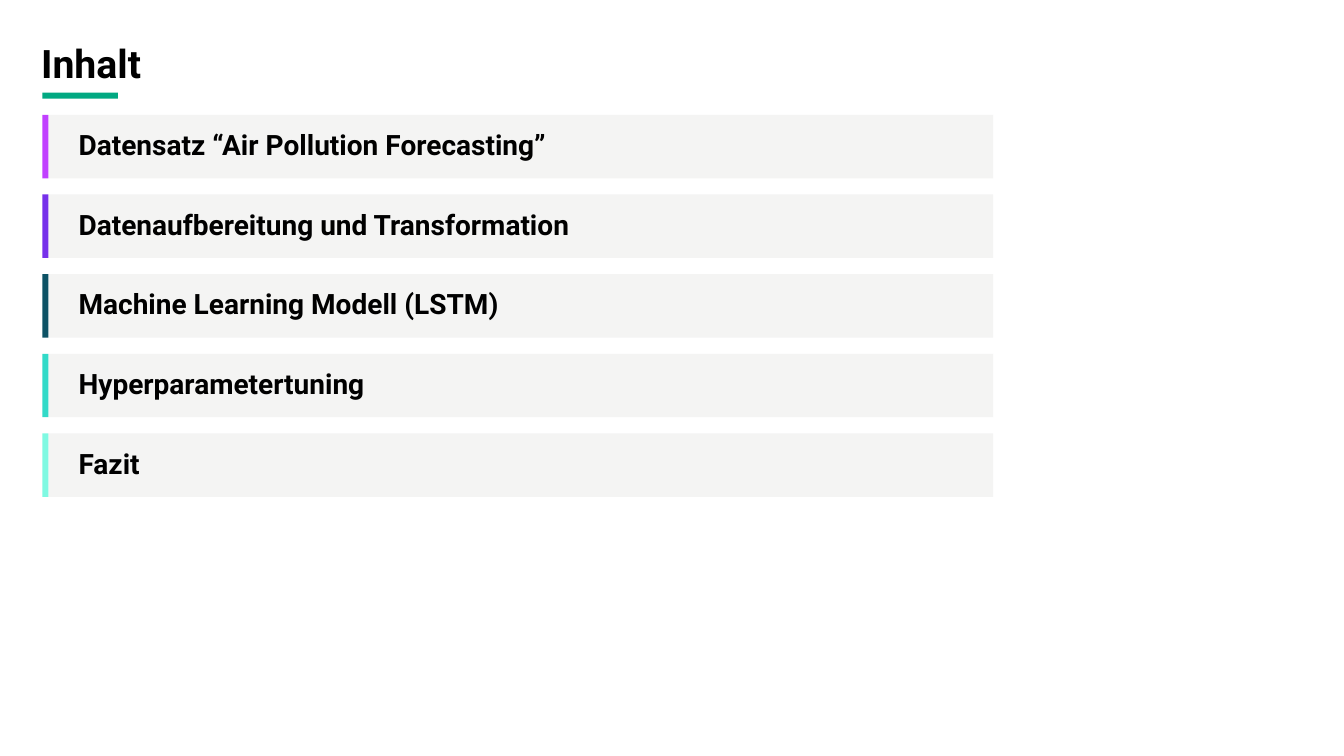
from pptx import Presentation
from pptx.dml.color import RGBColor
from pptx.enum.shapes import MSO_SHAPE as Preset
from pptx.enum.text import MSO_ANCHOR as Anchor, PP_ALIGN as Align
from pptx.util import Inches, Pt

BLACK = RGBColor(0x00, 0x00, 0x00)
GREEN = RGBColor(0x01, 0xA9, 0x82)
LIGHT_GREY = RGBColor(0xF4, 0xF4, 0xF3)
MAGENTA = RGBColor(0xC1, 0x40, 0xFF)
VIOLET = RGBColor(0x76, 0x30, 0xEA)
PETROL = RGBColor(0x0D, 0x52, 0x65)
TURQUOISE = RGBColor(0x32, 0xDA, 0xC8)
MINT = RGBColor(0x7F, 0xF9, 0xE2)

TOPICS = [
    ("Datensatz “Air Pollution Forecasting”", MAGENTA),
    ("Datenaufbereitung und Transformation", VIOLET),
    ("Machine Learning Modell (LSTM)", PETROL),
    ("Hyperparametertuning", TURQUOISE),
    ("Fazit", MINT),
]
LEFT, FIRST_TOP, ROW_PITCH, ROW_HEIGHT = 0.42, 1.14, 0.79, 0.63
ACCENT_WIDTH, ROW_WIDTH = 0.06, 9.37


def add_bar(page, left, top, width, height, color):
    box = page.shapes.add_shape(
        Preset.RECTANGLE, Inches(left), Inches(top), Inches(width), Inches(height)
    )
    box.shadow.inherit = False
    box.fill.solid()
    box.fill.fore_color.rgb = color
    box.line.fill.background()
    return box


def write_text(box, text, size, side_inset):
    frame = box.text_frame
    frame_format = {
        "word_wrap": True,
        "vertical_anchor": Anchor.MIDDLE,
        "margin_left": Inches(side_inset),
        "margin_right": Inches(side_inset),
        "margin_top": Inches(0.1),
        "margin_bottom": Inches(0.1),
    }
    for name, value in frame_format.items():
        setattr(frame, name, value)
    para = frame.paragraphs[0]
    para.alignment = Align.LEFT
    para.line_spacing = 0.9
    span = para.add_run()
    span.text = text
    for name, value in {"name": "Roboto", "size": Pt(size), "bold": True}.items():
        setattr(span.font, name, value)
    span.font.color.rgb = BLACK


def add_title(page, text):
    box = page.shapes.add_textbox(Inches(0.31), Inches(0.43), Inches(12.57), Inches(0.44))
    write_text(box, text, 28, 0.1)
    add_bar(page, LEFT, 0.92, 0.75, 0.06, GREEN)


def add_topic(page, top, text, color):
    row = add_bar(page, LEFT + ACCENT_WIDTH, top, ROW_WIDTH, ROW_HEIGHT, LIGHT_GREY)
    write_text(row, text, 20, 0.3)
    add_bar(page, LEFT, top, ACCENT_WIDTH, ROW_HEIGHT, color)


def main():
    deck = Presentation()
    deck.slide_width = Inches(13.33)
    deck.slide_height = Inches(7.5)
    page = deck.slides.add_slide(deck.slide_layouts[6])
    add_title(page, "Inhalt")
    for index, (text, color) in enumerate(TOPICS):
        add_topic(page, FIRST_TOP + index * ROW_PITCH, text, color)
    deck.save("out.pptx")


if __name__ == "__main__":
    main()
